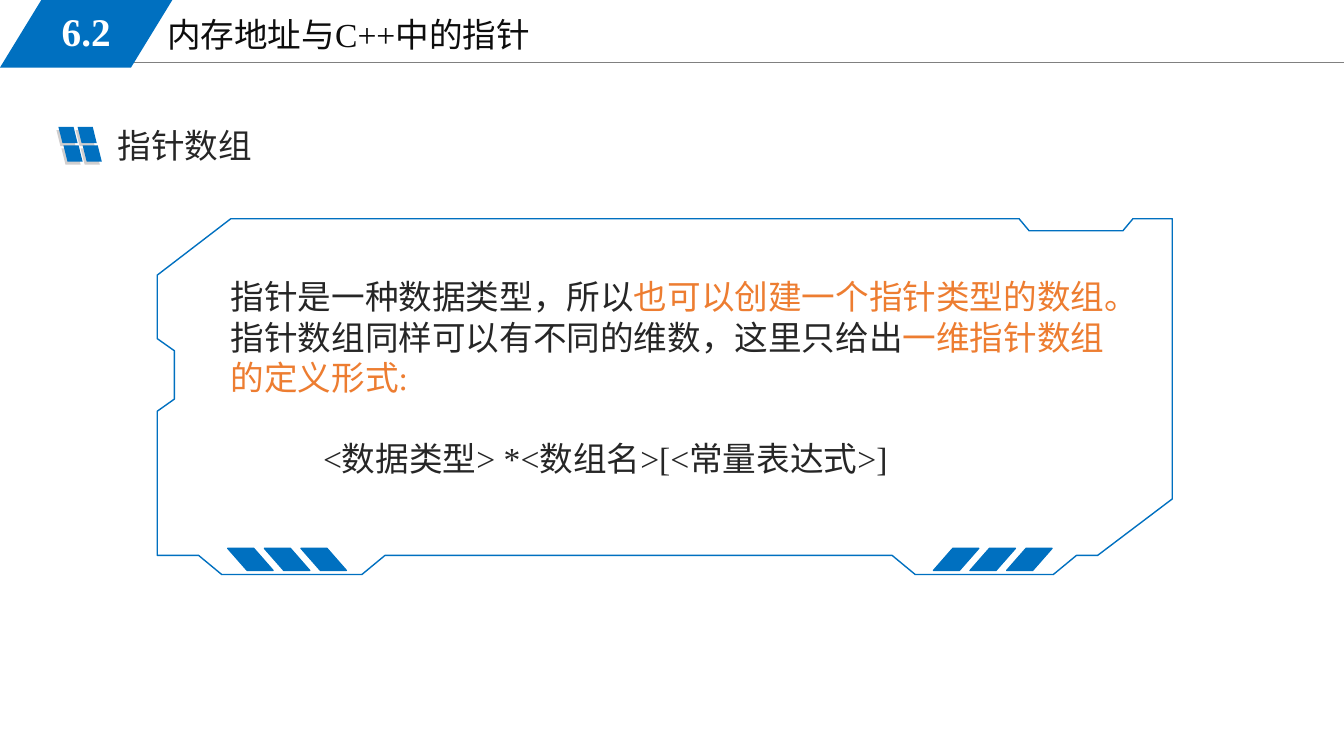
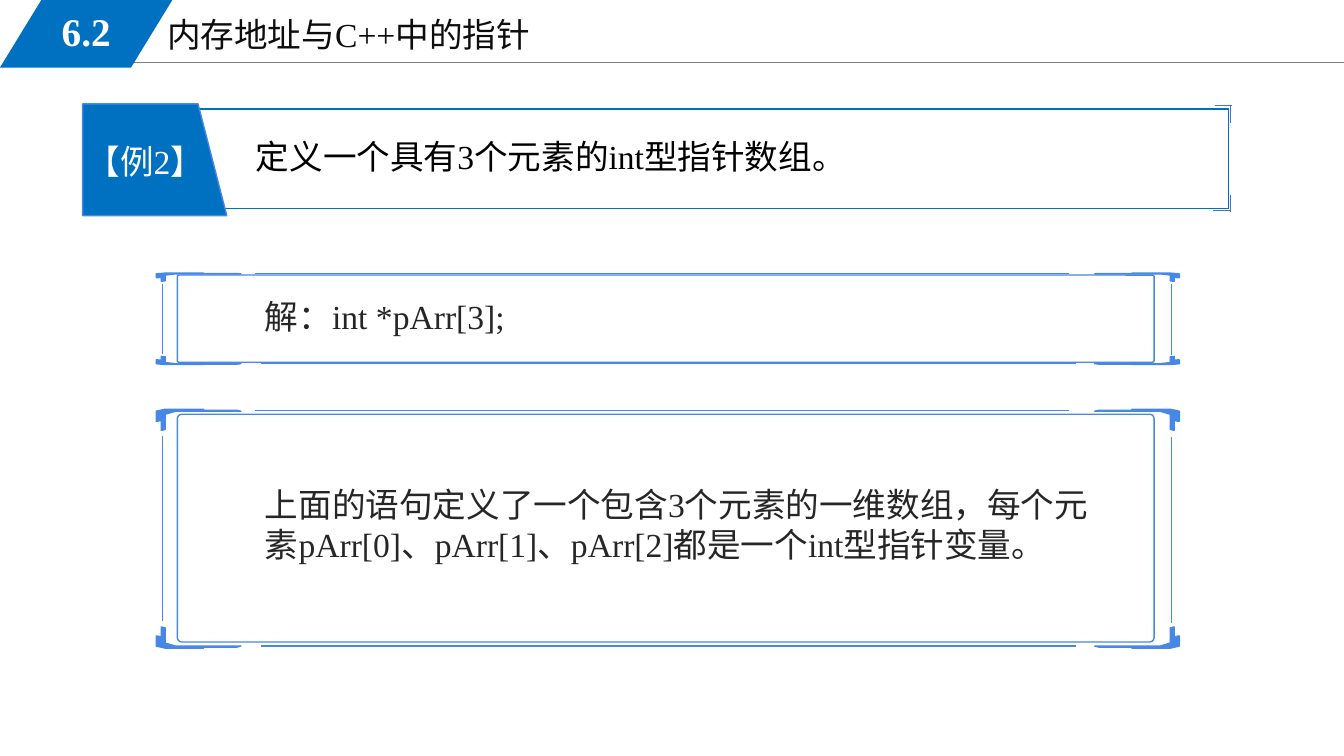
"""Build two slides on pointer arrays, laid out on a grid of 40 columns."""
import itertools

import lxml.etree
import pptx
import pptx.dml.color
import pptx.enum.lang
import pptx.enum.shapes
import pptx.enum.text
import pptx.oxml.ns
import pptx.util

RGB = pptx.dml.color.RGBColor
SHAPE = pptx.enum.shapes.MSO_SHAPE
ALIGN = pptx.enum.text.PP_ALIGN
ANCHOR = pptx.enum.text.MSO_ANCHOR

WIDTH = pptx.util.Inches(13.333)
HEIGHT = pptx.util.Inches(7.5)
COLUMNS = 40

BLUE = RGB(0x00, 0x70, 0xC0)
BRACKET_BLUE = RGB(0x47, 0x88, 0xE6)
CORNER_BLUE = RGB(0x44, 0x72, 0xC4)
ORANGE = RGB(0xED, 0x7D, 0x31)
GREY = RGB(0x80, 0x80, 0x80)
LIGHT_GREY = RGB(0xD0, 0xCE, 0xCE)
INK = RGB(0x26, 0x26, 0x26)
TITLE_INK = RGB(0x0D, 0x0D, 0x0D)
BLACK = RGB(0x00, 0x00, 0x00)
WHITE = RGB(0xFF, 0xFF, 0xFF)

FONT = "Times New Roman"

PANEL_OUTLINE = [
    (27.24, 17.1), (31.35, 17.1), (32.04, 16.53), (32.67, 16.53),
    (34.89, 14.85), (34.89, 6.51), (33.72, 6.51), (33.42, 6.87),
    (30.63, 6.87), (30.33, 6.51), (6.87, 6.51), (4.68, 8.19),
    (4.68, 10.08), (5.19, 10.44), (5.19, 11.88), (4.68, 12.24),
    (4.68, 16.53), (5.91, 16.53), (6.6, 17.1), (10.77, 17.1),
    (11.46, 16.53), (26.55, 16.53),
]
BRACKET_CORNER = [
    (0.27, 0), (1.41, 0), (1.26, 0.03), (2.4, 0.03), (2.52, 0.06),
    (0.57, 0.06), (0.27, 0.15), (0.27, 0.6), (0.15, 0.63), (0.15, 0.33),
    (0.03, 0.36), (0, 0.36), (0, 0.12), (0, 0.06),
]
BRACKET_LEFT, BRACKET_RIGHT = 4.65, 35.1
BRACKET_HEIGHT = 7.11
EXAMPLE_CORNER_LINES = [
    (36.15, 3.15, 36.66, 3.15), (36.63, 3.12, 36.63, 3.66),
    (36.63, 5.79, 36.63, 6.3), (36.63, 6.27, 36.09, 6.27),
]


def grid(*cells):
    """Turn grid lengths into slide lengths."""
    return [round(c * WIDTH / COLUMNS) for c in cells]


def paint(sp, fill=None, line=None):
    """Set the fill and outline of a shape; None leaves them out."""
    sp.shadow.inherit = False
    if fill is None:
        sp.fill.background()
    else:
        sp.fill.solid()
        sp.fill.fore_color.rgb = fill
    if line is None:
        sp.line.fill.background()
    else:
        sp.line.color.rgb = line
        sp.line.width = pptx.util.Pt(1)


def add_shape(s, kind, box, fill=None, line=None, adj=None, flip=False):
    """Add a preset shape."""
    sp = s.shapes.add_shape(kind, *grid(*box))
    paint(sp, fill, line)
    if adj is not None:
        sp.adjustments[0] = adj
    if flip:
        sp._element.spPr.find(pptx.oxml.ns.qn("a:xfrm")).set("flipH", "1")
    return sp


def add_outline(s, points, line, fill=None):
    """Add a closed polygon."""
    start, *rest = [grid(*point) for point in points]
    builder = s.shapes.build_freeform(*start)
    builder.add_line_segments(rest, close=True)
    paint(builder.convert_to_shape(), fill, line)


def add_line(s, ends, color, width=1):
    """Add a straight line without shadow."""
    c = s.shapes.add_connector(pptx.enum.shapes.MSO_CONNECTOR.STRAIGHT, *grid(*ends))
    c.line.color.rgb = color
    c.line.width = pptx.util.Pt(width)
    lxml.etree.SubElement(c._element.spPr, pptx.oxml.ns.qn("a:effectLst"))


def add_run(p, text, color, size=24, bold=False):
    """Add a run of text to a paragraph."""
    r = p.add_run()
    r.text = text
    r.font.name = FONT
    r.font.size = pptx.util.Pt(size)
    r.font.bold = bold
    r.font.color.rgb = color
    r.font.language_id = pptx.enum.lang.MSO_LANGUAGE_ID.SIMPLIFIED_CHINESE


def add_text(s, box, runs, **style):
    """Add a wrapping text box with one paragraph and return its frame."""
    tf = s.shapes.add_textbox(*grid(*box)).text_frame
    tf.word_wrap = True
    for text, color in runs:
        add_run(tf.paragraphs[0], text, color, **style)
    return tf


def indent(p, points):
    """Set the left margin of a paragraph."""
    pPr = p._p.get_or_add_pPr()
    pPr.set("marL", str(pptx.util.Pt(points)))
    pPr.set("indent", "0")


def add_header(s):
    """Add the section band shared by all slides."""
    add_line(s, (3.39, 1.86, COLUMNS, 1.86), GREY, 0.75)
    add_text(s, (4.68, 0.27, 17, 1.53), [("内存地址与C++中的指针", TITLE_INK)])
    add_shape(s, SHAPE.PARALLELOGRAM, (0, 0, 5.13, 2.01), BLUE, adj=0.612)
    tf = add_text(s, (0.75, 0.06, 3.63, 1.74), [("6.2", WHITE)], size=28, bold=True)
    tf.vertical_anchor = ANCHOR.MIDDLE
    tf.paragraphs[0].alignment = ALIGN.CENTER


def add_heading(s, text):
    """Add a heading with its four-tile icon."""
    for left, top, color in ((1.68, 3.87, LIGHT_GREY), (1.74, 3.78, BLUE)):
        for col, row in itertools.product(range(2), repeat=2):
            box = (left + 0.57 * col + 0.15 * row, top + 0.55 * row, 0.57, 0.48)
            add_shape(s, SHAPE.PARALLELOGRAM, box, color, flip=True)
    add_text(s, (3.21, 3.57, 18, 1.5), [(text, INK)])


def add_panel(s):
    """Add the notched panel with its two sets of stripes."""
    add_outline(s, PANEL_OUTLINE, BLUE)
    for left, flip in ((6.78, True), (27.78, False)):
        for i in range(3):
            box = (left + 1.09 * i, 16.32, 1.35, 0.66)
            add_shape(s, SHAPE.PARALLELOGRAM, box, BLUE, BLUE, 0.878, flip)


def add_bracket_frame(s, top, height):
    """Add a rounded frame with four mirrored brackets, stretched to a height."""
    k = height / BRACKET_HEIGHT
    bottom = top + height
    for (x, dx), (y, dy) in itertools.product(
            ((BRACKET_LEFT, 1), (BRACKET_RIGHT, -1)), ((top, k), (bottom, -k))):
        points = [(x + dx * px, y + dy * py) for px, py in BRACKET_CORNER]
        add_outline(s, points, BRACKET_BLUE, BRACKET_BLUE)
    add_shape(s, SHAPE.ROUNDED_RECTANGLE, (5.28, top + 0.15 * k, 29.07, 6.78 * k),
              line=BRACKET_BLUE, adj=0.019)
    for x1, y1, x2, y2 in ((7.59, 0.03, 31.83, 0.03), (7.77, 7.05, 32.01, 7.05),
                           (4.83, 0.81, 4.83, 6.3), (34.86, 0.84, 34.86, 6.36)):
        add_line(s, (x1, top + y1 * k, x2, top + y2 * k), BRACKET_BLUE)


def add_example(s, label, text):
    """Add the example bar with its slanted label."""
    add_shape(s, SHAPE.RECTANGLE, (2.46, 3.24, 34.11, 2.97), line=BLUE)
    tab = add_shape(s, SHAPE.FLOWCHART_MANUAL_INPUT, (2.94, 2.61, 3.33, 4.29),
                    BLUE, BRACKET_BLUE)
    tab.rotation = 90
    tf = add_text(s, (1.53, 4.05, 5.43, 2.73), [(label, WHITE)])
    indent(tf.paragraphs[0], 18)
    add_text(s, (7.32, 3.9, 29.58, 1.5), [(text, BLACK)])
    for ends in EXAMPLE_CORNER_LINES:
        add_line(s, ends, CORNER_BLUE)


def build_definition(s):
    """Fill the slide that defines pointer arrays."""
    add_heading(s, "指针数组")
    tf = add_text(s, (6.57, 8.07, 26.73, 6.36), [
        ("指针是一种数据类型，所以", INK),
        ("也可以创建一个指针类型的数组。", ORANGE),
        ("指针数组同样可以有不同的维数，这里只给出", INK),
        ("一维指针数组的定义形式:", ORANGE),
    ])
    p = tf.add_paragraph()
    indent(p, 66)
    p.space_before = pptx.util.Pt(29)
    add_run(p, "<数据类型> *<数组名>[<常量表达式>]", INK)
    add_panel(s)


def build_example(s):
    """Fill the slide with the worked example."""
    add_text(s, (7.59, 8.67, 11.43, 1.5), [("解：int *pArr[3];", INK)])
    add_text(s, (7.59, 14.25, 25.56, 2.73), [
        ("上面的语句定义了一个包含3个元素的一维数组，每个元素"
         "pArr[0]、pArr[1]、pArr[2]都是一个int型指针变量。", INK)])
    add_bracket_frame(s, 12.18, BRACKET_HEIGHT)
    add_example(s, "【例2】", "定义一个具有3个元素的int型指针数组。")
    add_bracket_frame(s, 8.13, 2.72)


def main():
    """Build and save the presentation."""
    prs = pptx.Presentation()
    prs.slide_width, prs.slide_height = WIDTH, HEIGHT
    for build in (build_definition, build_example):
        s = prs.slides.add_slide(prs.slide_layouts[6])
        add_header(s)
        build(s)
    prs.save("out.pptx")


if __name__ == "__main__":
    main()
